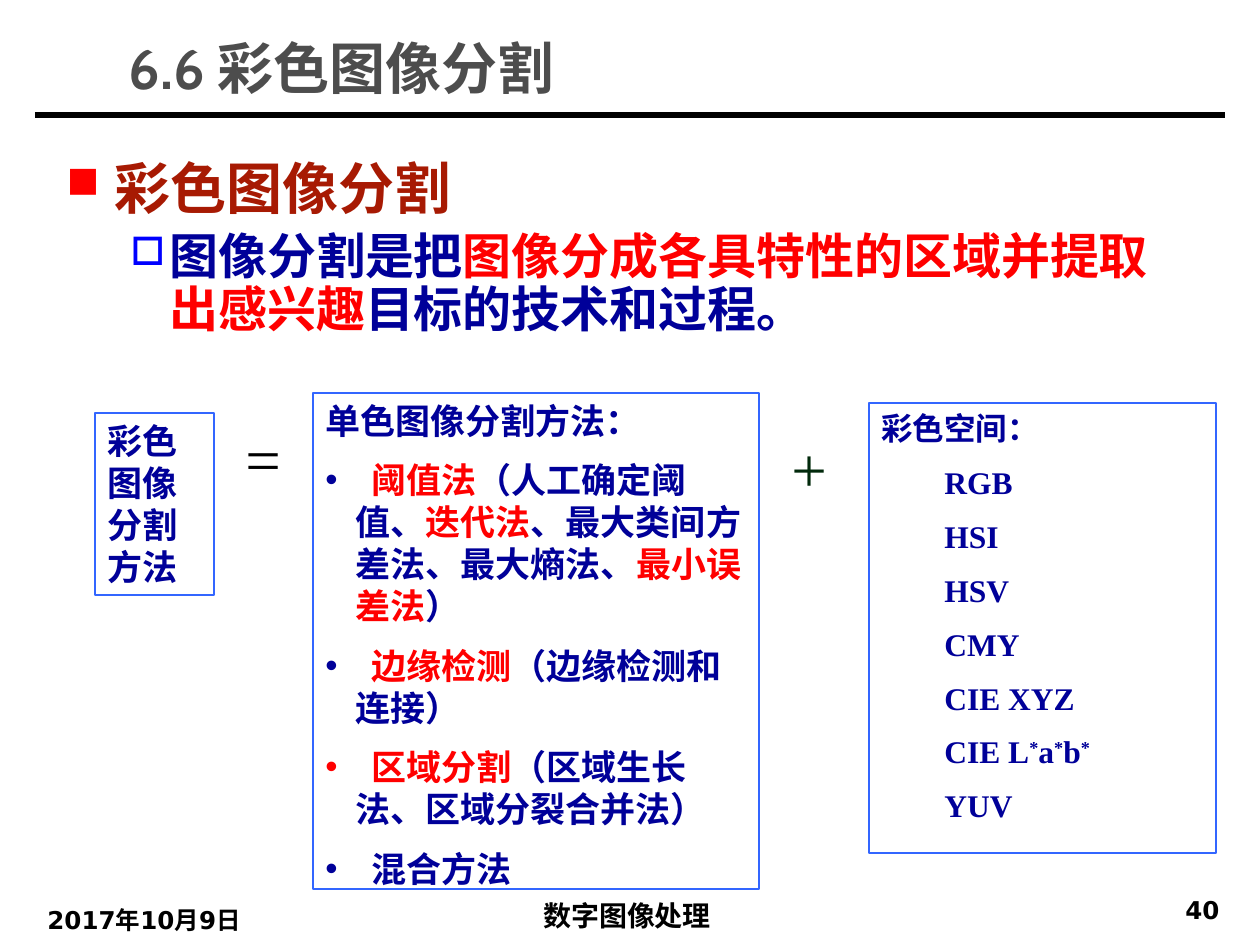
from lxml import etree
from pptx import Presentation
from pptx.dml.color import RGBColor
from pptx.enum.shapes import MSO_CONNECTOR, MSO_SHAPE
from pptx.enum.text import MSO_ANCHOR, MSO_AUTO_SIZE, PP_ALIGN
from pptx.oxml.ns import qn
from pptx.util import Emu, Pt

LEFT, RIGHT = PP_ALIGN.LEFT, PP_ALIGN.RIGHT
TOP, BOTTOM = MSO_ANCHOR.TOP, MSO_ANCHOR.BOTTOM
NO_FIT = MSO_AUTO_SIZE.NONE
RECTANGLE, STRAIGHT = MSO_SHAPE.RECTANGLE, MSO_CONNECTOR.STRAIGHT

EMU_PER_PX = 914400 / 126
NAVY, RED, BLACK, GREY = "000099", "FF0000", "000000", "4D4D4D"
BRICK, BLUE, FRAME, DARK_GREEN = "A71A03", "0000FF", "3366FF", "01290B"
SERIF, HEADING = "Times New Roman", "Cabin"
# Bullets as (character, font); in Wingdings n and o are squares
FULL_SQUARE, OPEN_SQUARE = ("n", "Wingdings"), ("o", "Wingdings")
DOT = ("•", "Arial")


def px(count):
    return Emu(round(count * EMU_PER_PX))


def color(value):
    return RGBColor.from_string(value)


def add_child(parent, tag, **attributes):
    child = etree.SubElement(parent, qn(tag))
    for name, value in attributes.items():
        child.set(name, str(value))
    return child


def set_indent(para, margin, first=0):
    properties = para._p.get_or_add_pPr()
    properties.set("marL", str(px(margin)))
    properties.set("indent", str(px(first)))
    properties.set("hangingPunct", "0")
    return properties


def set_bullet(para, bullet, tint, margin, hang, percent=100, tabs=()):
    symbol, font = bullet
    properties = set_indent(para, margin, -hang)
    add_child(add_child(properties, "a:buClr"), "a:srgbClr", val=tint)
    add_child(properties, "a:buSzPct", val=percent * 1000)
    add_child(properties, "a:buFont", typeface=font)
    add_child(properties, "a:buChar", char=symbol)
    if tabs:
        stops = add_child(properties, "a:tabLst")
        for stop in tabs:
            add_child(stops, "a:tab", pos=px(stop), algn="l")


def write(para, spans, size, font, bold=True, **layout):
    """Add (text, colour) spans; layout holds paragraph settings."""
    for name, value in {"alignment": LEFT, **layout}.items():
        setattr(para, name, value)
    for text, tint in spans:
        span = para.add_run()
        span.text = text
        look = {"size": Pt(size), "name": font, "bold": bold}
        for name, value in look.items():
            setattr(span.font, name, value)
        span.font.color.rgb = color(tint)


def format_frame(shape, anchor=TOP, wrap=True):
    frame = shape.text_frame
    settings = {"auto_size": NO_FIT, "word_wrap": wrap, "vertical_anchor": anchor}
    for name, value in settings.items():
        setattr(frame, name, value)
    return frame


def add_text(page, box, text, size, font, tint, bold=True, wrap=True, align=LEFT):
    frame = format_frame(page.shapes.add_textbox(*map(px, box)), wrap=wrap)
    write(frame.paragraphs[0], [(text, tint)], size, font, bold, alignment=align)


def add_panel(page, box):
    panel = page.shapes.add_shape(RECTANGLE, *map(px, box))
    panel.shadow.inherit = False
    panel.fill.background()
    panel.line.color.rgb = color(FRAME)
    panel.line.width = Pt(0.75)
    return format_frame(panel)


def add_header(page, box):
    title = page.shapes.title
    left, top, width, height = box
    title.left, title.top, title.width, title.height = map(px, box)
    frame = format_frame(title, BOTTOM)
    write(frame.paragraphs[0], [("6.6 彩色图像分割", GREY)], 32, HEADING)

    rule_y = top + height + 8
    rule = page.shapes.add_connector(
        STRAIGHT, px(35), px(rule_y), px(1225), px(rule_y))
    rule.line.color.rgb = color(BLACK)
    rule.line.width = Pt(3)
    add_child(rule._element.spPr, "a:effectLst")


def add_definition(page, box):
    frame = format_frame(page.shapes.add_textbox(*map(px, box)))
    heading = frame.paragraphs[0]
    set_bullet(heading, FULL_SQUARE, RED, 48, 48, 80)
    write(heading, [("彩色图像分割", BRICK)], 32, HEADING, line_spacing=0.9)

    detail = frame.add_paragraph()
    set_bullet(detail, OPEN_SQUARE, BLUE, 103, 39, 80)
    spans = [("图像分割是把", NAVY),
             ("图像分成各具特性的区域并提取出感兴趣", RED),
             ("目标的技术和过程。", NAVY)]
    write(detail, spans, 28, HEADING, line_spacing=0.9, space_before=Pt(6))


def add_methods(page, box):
    frame = add_panel(page, box)
    write(frame.paragraphs[0], [("单色图像分割方法：", NAVY)], 20, SERIF)
    methods = [
        (NAVY, [("阈值法", RED), ("（人工确定阈值、", NAVY), ("迭代法", RED),
                ("、最大类间方差法、最大熵法、", NAVY), ("最小误差法", RED),
                ("）", NAVY)]),
        (NAVY, [("边缘检测", RED), ("（边缘检测和连接）", NAVY)]),
        (RED, [("区域分割", RED), ("（区域生长法、区域分裂合并法）", NAVY)]),
        (NAVY, [("混合方法", NAVY)]),
    ]
    hang, gap = 30, 16
    for bullet_tint, spans in methods:
        para = frame.add_paragraph()
        # Stops serve viewers that count tabs from the indent or from the edge
        set_bullet(para, DOT, bullet_tint, hang, hang, tabs=(gap, hang + gap))
        write(para, [("\t", bullet_tint), *spans], 20, SERIF, space_before=Pt(10))


def add_spaces(page, box):
    """List the colour spaces; an asterisk is set as a superscript."""
    frame = add_panel(page, box)
    write(frame.paragraphs[0], [("彩色空间：", NAVY)], 18, SERIF)
    names = [["RGB"], ["HSI"], ["HSV"], ["CMY"], ["CIE XYZ"],
             ["CIE L", "*", "a", "*", "b", "*"], ["YUV"]]
    for parts in names:
        para = frame.add_paragraph()
        set_indent(para, 63)
        write(para, [(part, NAVY) for part in parts], 18, SERIF,
              space_before=Pt(9.2))
        for span in para.runs:
            if span.text == "*":
                span._r.get_or_add_rPr().set("baseline", "30000")


def add_equation(page, left, top):
    """Place the topic, its two ingredients and the signs between them."""
    topic = add_panel(page, (left, top + 20, 119, 182))
    write(topic.paragraphs[0], [("彩色图像分割方法", NAVY)], 20, SERIF)
    add_text(page, (left + 138, top + 20, 49, 88), "=", 36, SERIF, BLACK, False)
    add_methods(page, (left + 218, top, 446, 496))
    add_text(page, (left + 684, top + 30, 69, 88), "+", 36, SERIF, DARK_GREEN, False)
    add_spaces(page, (left + 774, top + 10, 347, 450))


def add_footer(page):
    sans = "DejaVu Sans"
    add_text(page, (35, 899, 408, 44), "2017年10月9日", 14, sans, BLACK)
    add_text(page, (531, 892, 195, 47), "数字图像处理", 16, "Arial", BLACK, wrap=False)
    add_text(page, (938, 889, 294, 44), "40", 14, sans, BLACK, align=RIGHT)


def main():
    deck = Presentation()
    deck.slide_width, deck.slide_height = px(1260), px(945)
    page = deck.slides.add_slide(deck.slide_layouts.get_by_name("Title Only"))
    add_header(page, (116, 37, 1108, 70))
    add_definition(page, (54, 155, 1121, 188))
    add_equation(page, 95, 393)
    add_footer(page)
    deck.save("out.pptx")


if __name__ == "__main__":
    main()
